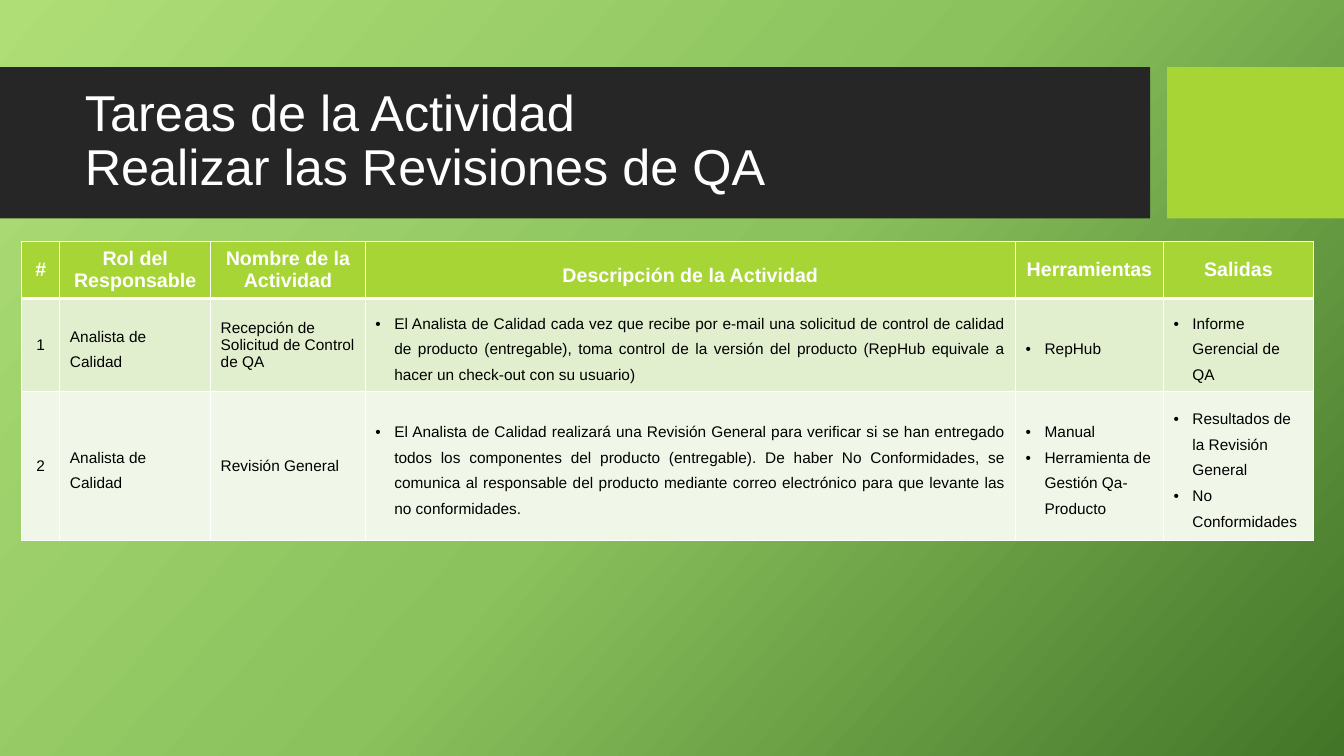
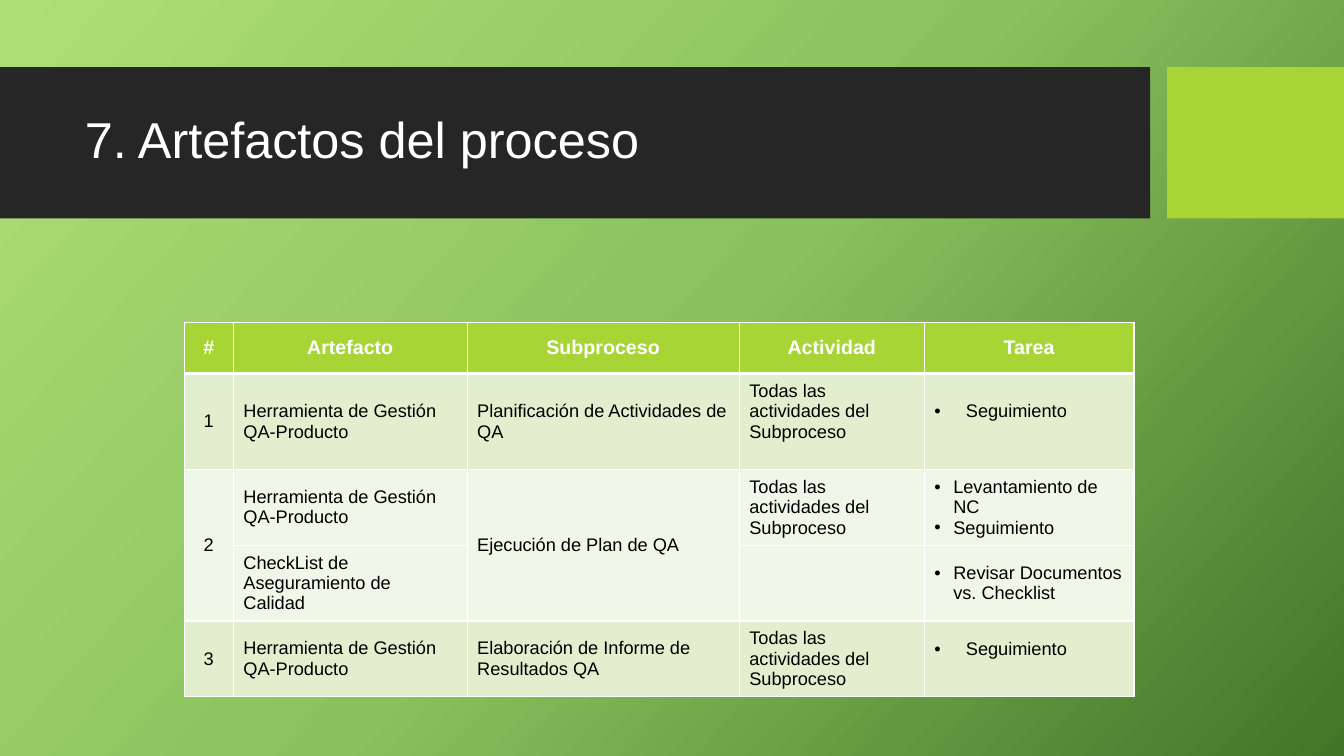
from lxml.etree import SubElement as Sub
from pptx import Presentation
from pptx.dml.color import RGBColor as RGB
from pptx.enum.shapes import MSO_SHAPE as Shape
from pptx.enum.text import MSO_ANCHOR as Anchor, PP_ALIGN as Align
from pptx.oxml.ns import qn
from pptx.util import Pt

WHITE = RGB(0xFF, 0xFF, 0xFF)
BLACK = RGB(0, 0, 0)
DARK = RGB(0x26, 0x26, 0x26)
LIME = RGB(0xA7, 0xD5, 0x35)
LIGHT = RGB(0xE1, 0xEF, 0xCE)
PALE = RGB(0xF1, 0xF7, 0xE8)
SKY = [(0, RGB(0xAF, 0xDE, 0x77)), (50, RGB(0x8B, 0xC2, 0x5D)), (100, RGB(0x43, 0x75, 0x28))]
FONT = "Arial"
BANDS = [(0, 821.5, DARK), (833.75, 126.25, LIME)]

TOOL = "Herramienta de Gestión QA-Producto"
TODAS = "Todas las actividades del Subproceso"

DECK = [
    {
        "title": ["Tareas de la Actividad", "Realizar las Revisiones de QA"],
        "place": (15.4, 172.4),
        "cols": [27.4, 107.7, 110.5, 464.5, 105.6, 107.2],
        "rows": [39.2, 62.5, 98.5],
        "tones": [LIME, LIGHT, PALE],
        "size": 11,
        "loose": {(0, 3)} | {(r, c) for r in (1, 2) for c in (1, 3, 4, 5)},
        "just": {(1, 3), (2, 3)},
        "lift": set(),
        "wide": set(),
        "merge": [],
        "cells": [
            ["#", "Rol del Responsable", "Nombre de la Actividad",
             "Descripción de la Actividad", "Herramientas", "Salidas"],
            ["1", "Analista de Calidad", "Recepción de Solicitud de Control de QA",
             ["El Analista de Calidad cada vez que recibe por e-mail una solicitud de control "
              "de calidad de producto (entregable), toma control de la versión del producto "
              "(RepHub equivale a hacer un check-out con su usuario)"],
             ["RepHub"], ["Informe Gerencial de QA"]],
            ["2", "Analista de Calidad", "Revisión General",
             ["El Analista de Calidad realizará una Revisión General para verificar si se han "
              "entregado todos los componentes del producto (entregable). De haber No "
              "Conformidades, se comunica al responsable del producto mediante correo "
              "electrónico para que levante las no conformidades."],
             ["Manual", "Herramienta de Gestión Qa-Producto"],
             ["Resultados de la Revisión General", "No Conformidades"]],
        ],
    },
    {
        "title": ["7. Artefactos del proceso"],
        "place": (131.5, 230.4),
        "cols": [35.2, 167, 194.4, 132.2, 149.7],
        "rows": [36.5, 64.8, 51, 51, 51],
        "tones": [LIME, LIGHT, PALE, PALE, LIGHT],
        "size": 13,
        "loose": set(),
        "just": set(),
        "lift": {(1, 3), (1, 4), (4, 4)},
        "wide": {(1, 4), (4, 4)},
        "merge": [(2, 0), (2, 2)],
        "cells": [
            ["#", "Artefacto", "Subproceso", "Actividad", "Tarea"],
            ["1", TOOL, "Planificación de Actividades de QA", TODAS, ["Seguimiento"]],
            ["2", TOOL, "Ejecución de Plan de QA", TODAS, ["Levantamiento de NC", "Seguimiento"]],
            ["", "CheckList de Aseguramiento de Calidad", "", "",
             ["Revisar Documentos vs. Checklist"]],
            ["3", TOOL, "Elaboración de Informe de Resultados QA", TODAS, ["Seguimiento"]],
        ],
    },
]


def add_run(para, text, size, tint, bold=False):
    run = para.add_run()
    run.text = text
    run.font.name = FONT
    run.font.size = Pt(size)
    run.font.bold = bold
    run.font.color.rgb = tint


def add_edge(cell, side, width):
    line = Sub(cell._tc.get_or_add_tcPr(), qn("a:ln" + side), w=str(Pt(width)))
    Sub(Sub(line, qn("a:solidFill")), qn("a:srgbClr"), val=str(WHITE))


prs = Presentation()
prs.slide_width, prs.slide_height = Pt(960), Pt(540)

for page in DECK:
    slide = prs.slides.add_slide(prs.slide_layouts[6])
    back = slide.background.fill
    back.gradient()
    back.gradient_angle = 318
    stops = slide.element.find(".//" + qn("a:gsLst"))
    stops.clear()
    for pos, tint in SKY:
        stop = Sub(stops, qn("a:gs"), pos=str(pos * 1000))
        Sub(stop, qn("a:srgbClr"), val=str(tint))

    for left, width, tint in BANDS:
        band = slide.shapes.add_shape(Shape.RECTANGLE, Pt(left), Pt(48), Pt(width), Pt(108))
        band.shadow.inherit = False
        band.fill.solid()
        band.fill.fore_color.rgb = tint
        band.line.fill.background()

    frame = slide.shapes.add_textbox(Pt(53.5), Pt(59), Pt(757), Pt(85)).text_frame
    frame.word_wrap = True
    frame.vertical_anchor = Anchor.MIDDLE
    para = frame.paragraphs[0]
    para.line_spacing = 0.9
    for i, text in enumerate(page["title"]):
        if i:
            para.add_line_break()
        add_run(para, text, 36, WHITE)

    cols, rows = page["cols"], page["rows"]
    left, top = page["place"]
    table = slide.shapes.add_table(len(rows), len(cols), Pt(left), Pt(top),
                                   Pt(sum(cols)), Pt(sum(rows))).table
    table.horz_banding = False
    for col, width in zip(table.columns, cols):
        col.width = Pt(width)
    for row, height in zip(table.rows, rows):
        row.height = Pt(height)

    for r, line in enumerate(page["cells"]):
        for c, text in enumerate(line):
            cell, spot, head = table.cell(r, c), (r, c), r == 0
            for side in "LRTB":
                thick = (head and side == "B") or (r == 1 and side == "T")
                add_edge(cell, side, 3 if thick else 1)
            cell.fill.solid()
            cell.fill.fore_color.rgb = page["tones"][r]
            cell.vertical_anchor = Anchor.MIDDLE
            if spot in page["lift"]:
                cell.margin_bottom = Pt(18)
            if not text:
                continue
            listed = isinstance(text, list)
            for i, item in enumerate(text if listed else [text]):
                frame = cell.text_frame
                para = frame.add_paragraph() if i else frame.paragraphs[0]
                if head or c == 0:
                    para.alignment = Align.CENTER
                elif spot in page["just"]:
                    para.alignment = Align.JUSTIFY
                if spot in page["loose"]:
                    para.line_spacing = 1.5
                if listed:
                    dent = Pt(22.5 if spot in page["wide"] else 13.5)
                    props = para._p.get_or_add_pPr()
                    props.set("marL", str(dent))
                    props.set("indent", str(-dent))
                    Sub(props, qn("a:buFont"), typeface=FONT)
                    Sub(props, qn("a:buChar"), char="•")
                add_run(para, item, 14 if head else page["size"], WHITE if head else BLACK, head)

    for r, c in page["merge"]:
        table.cell(r, c).merge(table.cell(r + 1, c))

prs.save("out.pptx")
